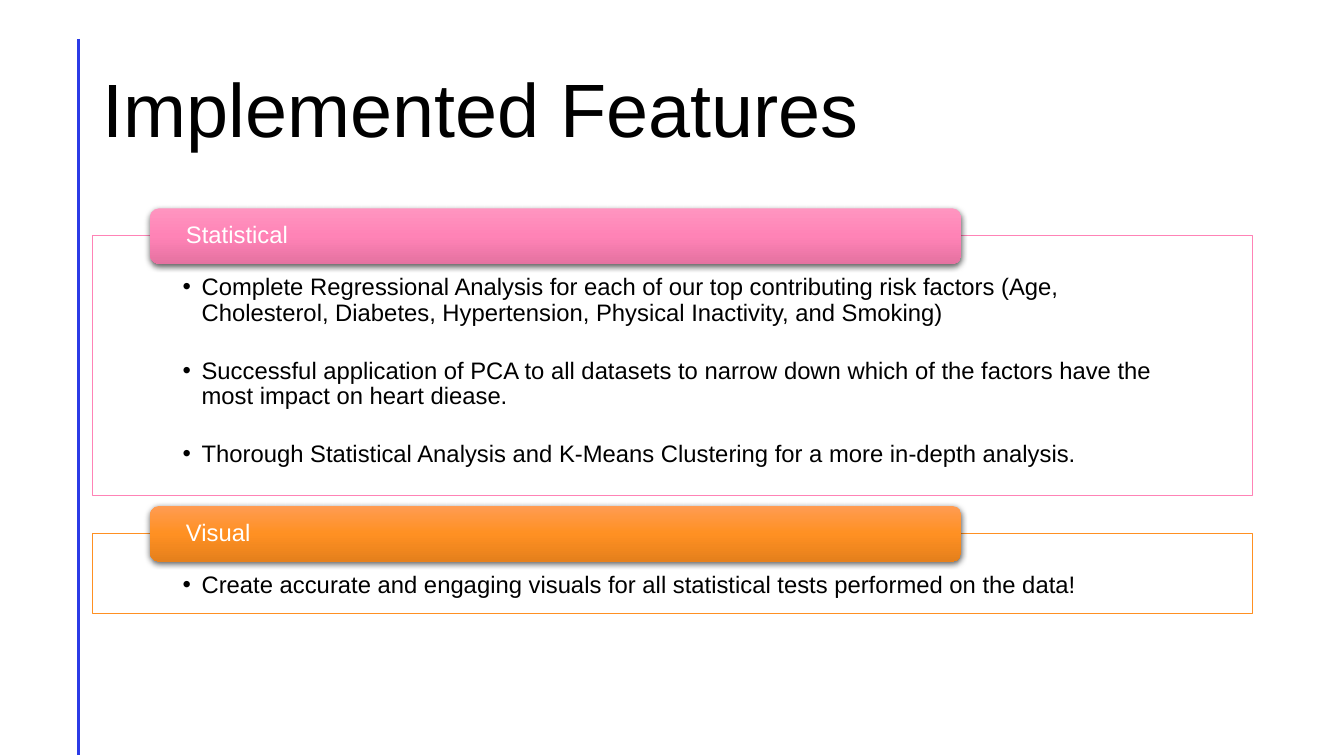
from lxml import etree
from copy import deepcopy
from pptx import Presentation
from pptx.dml.color import RGBColor
from pptx.enum.shapes import MSO_CONNECTOR, MSO_SHAPE
from pptx.enum.text import MSO_ANCHOR, MSO_AUTO_SIZE, PP_ALIGN
from pptx.oxml.ns import qn
from pptx.util import Cm, Pt

LINE, ROUND = MSO_CONNECTOR.STRAIGHT, MSO_SHAPE.ROUNDED_RECTANGLE
TOP, MIDDLE = MSO_ANCHOR.TOP, MSO_ANCHOR.MIDDLE
LEFT, FIXED = PP_ALIGN.LEFT, MSO_AUTO_SIZE.NONE

TITLE = "Implemented Features"
GROUPS = [
    {"head": "Statistical", "tall": 6.55,
     "shades": ("FF95C0", "FF83B6", "E572A1"),
     "items": [
         "Complete Regressional Analysis for each of our top contributing risk "
         "factors (Age, Cholesterol, Diabetes, Hypertension, Physical "
         "Inactivity, and Smoking)",
         "Successful application of PCA to all datasets to narrow down which "
         "of the factors have the most impact on heart diease.",
         "Thorough Statistical Analysis and K-Means Clustering for a more "
         "in-depth analysis."]},
    {"head": "Visual", "tall": 2.01,
     "shades": ("FF9C52", "FF9022", "E5801C"),
     "items": ["Create accurate and engaging visuals for all statistical "
               "tests performed on the data!"]},
]
EDGE, WIDE = 2.34, 29.21
START, GAP = 5.94, 0.95
INDENT = Cm(0.48)


def color(code):
    return RGBColor.from_string(code)


def place(shape, left, top, width, height):
    shape.left, shape.top = Cm(left), Cm(top)
    shape.width, shape.height = Cm(width), Cm(height)


def style(shape, size, code, anchor, insets):
    """Format all text of a shape; insets are left, top, right, bottom."""
    frame = shape.text_frame
    frame.word_wrap = True
    frame.auto_size = FIXED
    frame.vertical_anchor = anchor
    (frame.margin_left, frame.margin_top,
     frame.margin_right, frame.margin_bottom) = map(Cm, insets)
    for para in frame.paragraphs:
        para.alignment = LEFT
        para.line_spacing = 0.9
        para.space_before = Pt(0)
        for run in para.runs:
            run.font.size = Pt(size)
            run.font.name = "Arial"
            run.font.color.rgb = color(code)


def shade(shape, codes):
    """Fill from top to bottom with three evenly spaced colours."""
    fill = shape.fill
    fill.gradient()
    fill.gradient_angle = 270
    stops = shape._element.spPr.find(".//" + qn("a:gsLst"))
    stops.append(deepcopy(stops[-1]))
    for stop, code, spot in zip(fill.gradient_stops, codes, (0, 0.5, 1)):
        stop.color.rgb = color(code)
        stop.position = spot


def cast(shape):
    """Give a shape a soft shadow below it."""
    shape.shadow.inherit = False
    list_ = shape._element.spPr.find(qn("a:effectLst"))
    outer = etree.SubElement(list_, qn("a:outerShdw"), blurRad=str(Pt(4.5)),
                             dist=str(Pt(1.5)), dir="5400000",
                             algn="ctr", rotWithShape="0")
    black = etree.SubElement(outer, qn("a:srgbClr"), val="000000")
    etree.SubElement(black, qn("a:alpha"), val="63000")


def add_list(frame, group, top):
    place(frame, EDGE, top, WIDE, group["tall"])
    frame.fill.solid()
    frame.fill.fore_color.rgb = color("FFFFFF")
    frame.line.color.rgb = color(group["shades"][1])
    frame.line.width = Pt(0.5)
    frame.text_frame.text = "\n".join(group["items"])
    for para in frame.text_frame.paragraphs:
        props = para._p.get_or_add_pPr()
        props.set("marL", str(INDENT))
        props.set("indent", str(-INDENT))
        etree.SubElement(props, qn("a:buChar"), char="•")
        para.space_after = Pt(23)
    style(frame, 17, "000000", TOP, (2.26, 0.99, 2.26, 0.33))


def add_head(slide, group, top):
    head = slide.shapes.add_shape(ROUND, Cm(3.78), Cm(top - 0.69),
                                  Cm(20.45), Cm(1.4))
    shade(head, group["shades"])
    head.line.fill.background()
    cast(head)
    head.text_frame.text = group["head"]
    style(head, 17, "FFFFFF", MIDDLE, (0.84, 0, 0.84, 0))


def main():
    deck = Presentation()
    deck.slide_width, deck.slide_height = Cm(33.87), Cm(19.05)
    slide = deck.slides.add_slide(deck.slide_layouts[3])

    title = slide.shapes.title
    place(title, EDGE, 1.02, WIDE, 3.68)
    title.text_frame.text = TITLE
    style(title, 54, "000000", MIDDLE, (0.25, 0.13, 0.25, 0.13))

    rule = slide.shapes.add_connector(LINE, Cm(1.98), Cm(0.98),
                                      Cm(1.98), Cm(19.03))
    rule.line.color.rgb = color("2B3BE6")
    rule.line.width = Pt(2)
    etree.SubElement(rule._element.spPr, qn("a:effectLst"))

    top = START
    for slot, group in enumerate(GROUPS, 1):
        add_list(slide.placeholders[slot], group, top)
        add_head(slide, group, top)
        top += group["tall"] + GAP
    deck.save("out.pptx")


if __name__ == "__main__":
    main()
